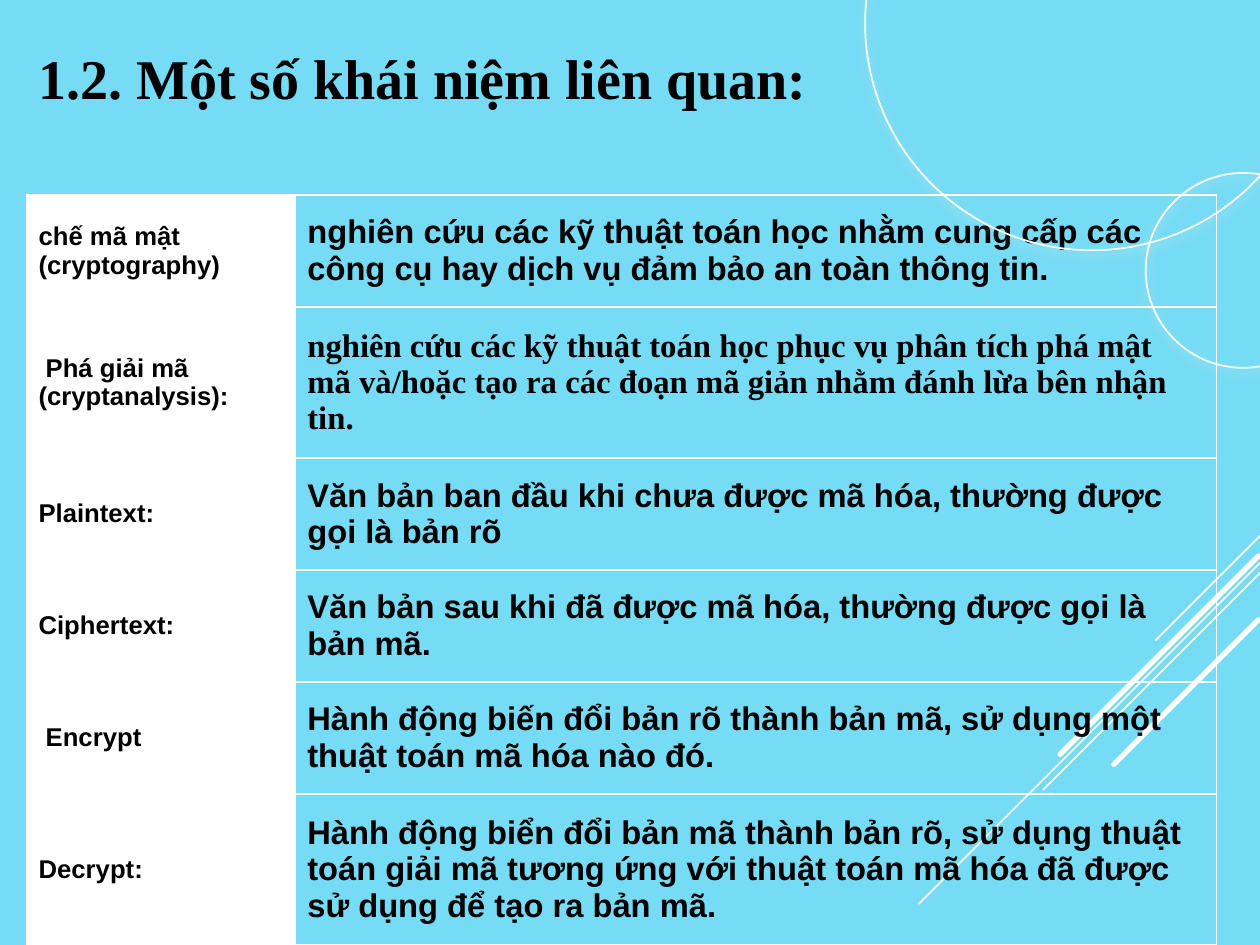
"""Build a slide that defines the basic terms of cryptography."""
from lxml import etree
from pptx import Presentation
from pptx.dml.color import RGBColor
from pptx.enum.shapes import MSO_CONNECTOR, MSO_SHAPE
from pptx.enum.text import MSO_ANCHOR
from pptx.oxml import parse_xml
from pptx.oxml.ns import nsdecls, qn
from pptx.util import Inches, Pt

SKY = RGBColor(0x76, 0xDB, 0xF4)
WHITE = RGBColor(0xFF, 0xFF, 0xFF)
BLACK = RGBColor(0, 0, 0)
STRAIGHT = MSO_CONNECTOR.STRAIGHT
OVAL = MSO_SHAPE.OVAL
MIDDLE = MSO_ANCHOR.MIDDLE
SANS, SERIF = "Arial", "Times New Roman"
BLANK_LAYOUT = 6
SLIDE_WIDTH = 7.5
SLIDE_HEIGHT = SLIDE_WIDTH * 3 / 4
TWO_LINES, THREE_LINES = 2 / 3, 0.9

# Lead-in, term, meaning, font of the meaning, row height
TERMS = [
    ("", "chế mã mật (cryptography)",
     "nghiên cứu các kỹ thuật toán học nhằm cung cấp các công cụ hay dịch vụ "
     "đảm bảo an toàn thông tin.", SANS, TWO_LINES),
    (" ", "Phá giải mã (cryptanalysis):",
     "nghiên cứu các kỹ thuật toán học phục vụ phân tích phá mật mã và/hoặc "
     "tạo ra các đoạn mã giản nhằm đánh lừa bên nhận tin.", SERIF, THREE_LINES),
    ("", "Plaintext:",
     "Văn bản ban đầu khi chưa được mã hóa, thường được gọi là bản rõ",
     SANS, TWO_LINES),
    ("", "Ciphertext:",
     "Văn bản sau khi đã được mã hóa, thường được gọi là bản mã.",
     SANS, TWO_LINES),
    (" ", "Encrypt",
     "Hành động biến đổi bản rõ thành bản mã, sử dụng một thuật toán mã hóa "
     "nào đó.", SANS, TWO_LINES),
    ("", "Decrypt:",
     "Hành động biển đổi bản mã thành bản rõ, sử dụng thuật toán giải mã tương "
     "ứng với thuật toán mã hóa đã được sử dụng để tạo ra bản mã.",
     SANS, THREE_LINES),
]

# Start (right, top), horizontal run of the 45-degree stroke, line width
STROKES = [
    (0.62, 0, 0.62, 0.75), (0.62, 0.16, 2.03, 0.75), (0.62, 0.22, 1.29, 0.75),
    (0.61, 0.12, 1.18, 2.25), (0.61, 0.5, 0.86, 2.25),
]


def write_text(frame, text, size, font=SANS, color=BLACK, bold=True):
    """Add one formatted run to the first paragraph of a text frame."""
    frame.word_wrap = True
    run = frame.paragraphs[0].add_run()
    run.text = text
    run.font.size = Pt(size)
    run.font.name = font
    run.font.bold = bold
    run.font.color.rgb = color


def add_strokes(slide, left, top):
    """Draw the diagonal strokes from the corner of their region."""
    for start_x, start_y, run, width in STROKES:
        x, y = left + start_x, top + start_y
        stroke = slide.shapes.add_connector(
            STRAIGHT, Inches(x), Inches(y), Inches(x - run), Inches(y + run))
        stroke.line.color.rgb = WHITE
        stroke.line.width = Pt(width)
        properties = stroke.element.spPr
        properties.find(qn("a:ln")).set("cap", "rnd")
        etree.SubElement(properties, qn("a:effectLst"))


def add_ring(slide, left, top, diameter):
    """Draw a white ring with a soft white glow below it."""
    ring = slide.shapes.add_shape(
        OVAL, Inches(left), Inches(top), Inches(diameter), Inches(diameter))
    ring.fill.background()
    ring.line.color.rgb = WHITE
    ring.line.width = Pt(0.75)
    ring.shadow.inherit = False
    ring.element.spPr.find(qn("a:effectLst")).append(parse_xml(
        f'<a:outerShdw {nsdecls("a")} blurRad="{Pt(4.5)}" dist="{Pt(1.5)}" '
        f'dir="5400000"><a:srgbClr val="{WHITE}"><a:alpha val="50000"/>'
        '</a:srgbClr></a:outerShdw>'))


def format_cell(cell, right_margin=0.07):
    """Give a cell its margins, anchor and white borders."""
    cell.vertical_anchor = MIDDLE
    cell.margin_left = cell.margin_top = cell.margin_bottom = Inches(0.07)
    cell.margin_right = Inches(right_margin)
    properties = cell._tc.get_or_add_tcPr()
    for side in ("lnL", "lnR", "lnT", "lnB"):
        properties.append(parse_xml(
            f'<a:{side} {nsdecls("a")} w="{Pt(0.75)}"><a:solidFill>'
            f'<a:srgbClr val="{WHITE}"/></a:solidFill></a:{side}>'))


def add_terms_table(slide, left, top, term_width, meaning_width):
    """Place the table of terms and their meanings."""
    height = sum(row_height for *_, row_height in TERMS)
    table = slide.shapes.add_table(
        len(TERMS), 2, Inches(left), Inches(top),
        Inches(term_width + meaning_width), Inches(height)).table
    table.first_row = table.horz_banding = False
    table.columns[0].width = Inches(term_width)
    table.columns[1].width = Inches(meaning_width)
    for row, (lead, term, meaning, font, row_height) in zip(table.rows, TERMS):
        row.height = Inches(row_height)
        term_cell, meaning_cell = row.cells
        format_cell(term_cell)
        term_cell.fill.solid()
        term_cell.fill.fore_color.rgb = WHITE
        if lead:
            write_text(term_cell.text_frame, lead, 11, bold=False)
        write_text(term_cell.text_frame, term, 11)
        format_cell(meaning_cell, right_margin=0.09)
        meaning_cell.fill.background()
        write_text(meaning_cell.text_frame, meaning, 14, font=font)


def add_title(slide, left, top, width, height):
    """Place the slide heading."""
    heading = slide.shapes.add_textbox(
        Inches(left), Inches(top), Inches(width), Inches(height))
    write_text(heading.text_frame, "1.2. Một số khái niệm liên quan:", 24, font=SERIF)


def main():
    """Build and save the slide."""
    deck = Presentation()
    deck.slide_width, deck.slide_height = Inches(SLIDE_WIDTH), Inches(SLIDE_HEIGHT)
    slide = deck.slides.add_slide(deck.slide_layouts[BLANK_LAYOUT])
    slide.background.fill.solid()
    slide.background.fill.fore_color.rgb = SKY
    add_strokes(slide, 6.88, 3.19)
    add_terms_table(slide, 0.16, 1.16, 1.6, 5.48)
    add_ring(slide, 5.15, -1.21, 2.7)
    add_ring(slide, 6.82, 1.03, 1.16)
    add_title(slide, 0.13, 0.21, 6.37, 0.5)
    deck.save("out.pptx")


if __name__ == "__main__":
    main()
